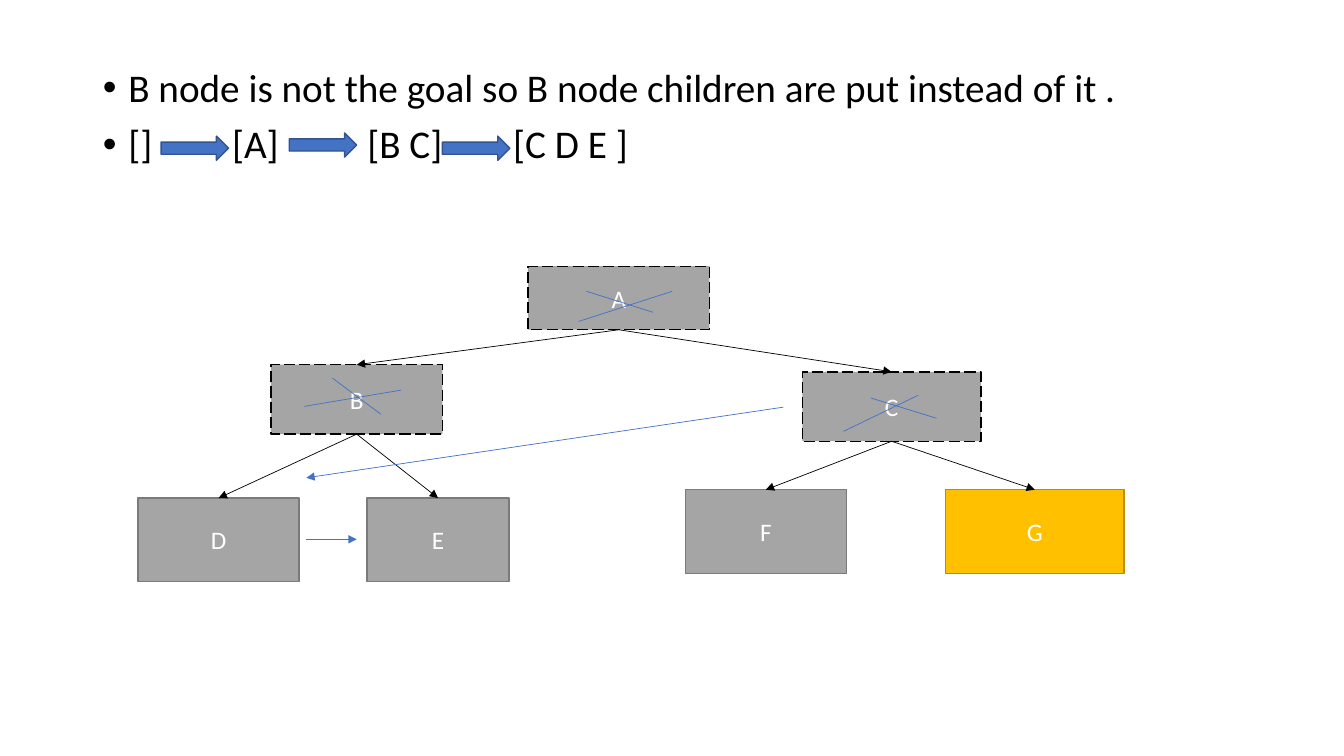
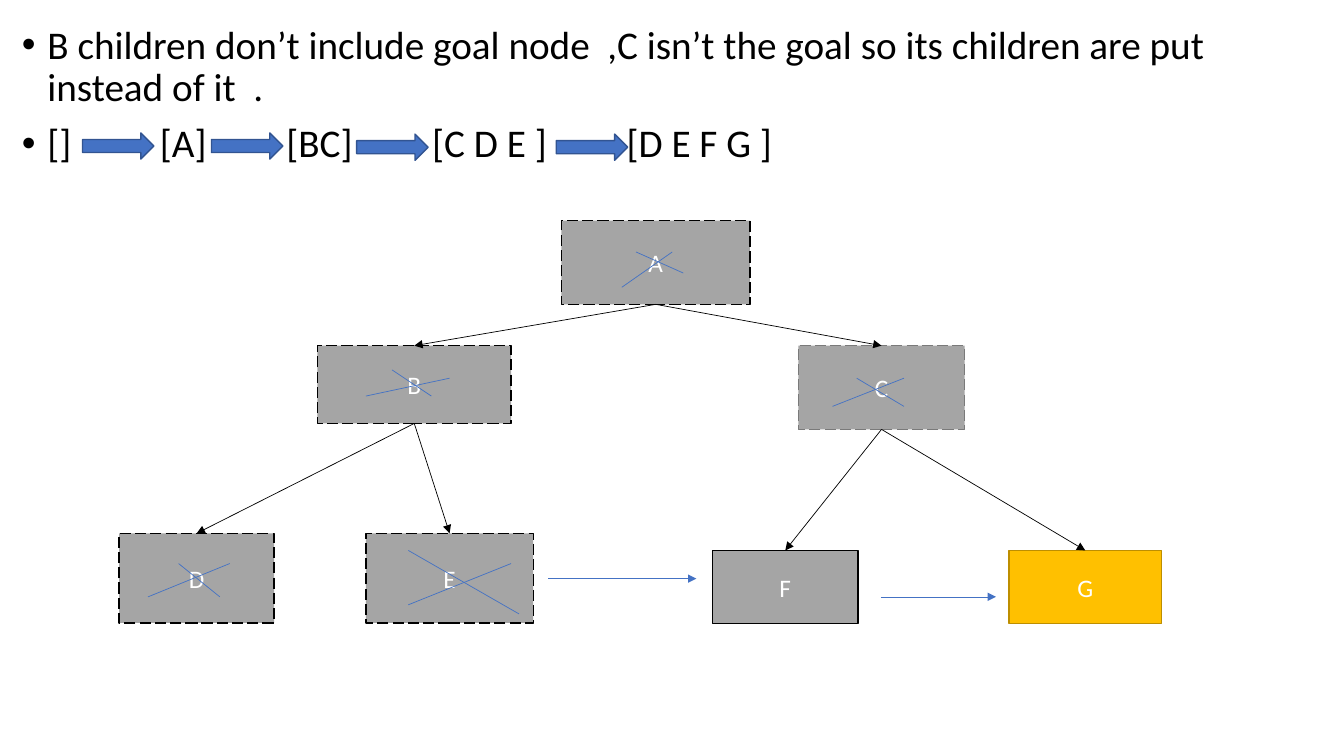
from collections import namedtuple

from lxml import etree
from pptx import Presentation
from pptx.dml.color import RGBColor
from pptx.enum import dml, shapes, text
from pptx.oxml.ns import qn
from pptx.util import Cm, Pt

BLACK = RGBColor(0x00, 0x00, 0x00)
WHITE = RGBColor(0xFF, 0xFF, 0xFF)
GREY = RGBColor(0xA5, 0xA5, 0xA5)
DARK_GREY = RGBColor(0x7A, 0x7A, 0x7A)
GOLD = RGBColor(0xFF, 0xC0, 0x00)
DARK_GOLD = RGBColor(0xBD, 0x8E, 0x00)
BLUE = RGBColor(0x44, 0x72, 0xC4)
DARK_BLUE = RGBColor(0x32, 0x54, 0x91)
FONT = "Calibri"
SPACE_WIDTH = 6.33  # points, one space at 28 pt

Style = namedtuple("Style", "fill edge dashed")
VISITED = Style(GREY, BLACK, True)
VISITED_SOFT = Style(GREY, DARK_GREY, True)
WAITING = Style(GREY, DARK_GREY, False)
CURRENT = Style(GREY, BLACK, False)
GOAL = Style(GOLD, DARK_GOLD, False)

# Node: box (left, top, width, height), style, strokes inside the box
Node = namedtuple("Node", "box style strokes", defaults=[()])
TREE = {"A": "BC", "B": "DE", "C": "FG"}

SLIDES = [
    dict(
        body=(2.34, 1.6, 29.21, 15.54),
        sentence="B node is not the goal so B node children are put instead of it .",
        states=["[]", "[A]", "[B C]", "[C D E ]"],
        gaps=[9, 10, 8],
        arrow_size=(1.7, 0.61),
        arrows=[(4.06, 3.43), (7.29, 3.35), (11.15, 3.43)],
        nodes={
            "A": Node((13.31, 6.71, 4.57, 1.6), VISITED,
                      [(3.63, 0.63, 1.27, 1.39), (1.47, 0.63, 3.15, 1.16)]),
            "B": Node((6.83, 9.19, 4.32, 1.75), VISITED,
                      [(3.28, 0.64, 0.84, 1.05), (1.55, 0.34, 2.77, 1.25)]),
            "C": Node((20.22, 9.37, 4.5, 1.75), VISITED,
                      [(2.92, 0.59, 1.04, 1.5), (1.73, 0.66, 3.38, 1.17)]),
            "D": Node((3.48, 12.55, 4.06, 2.11), WAITING),
            "E": Node((9.25, 12.55, 3.58, 2.11), WAITING),
            "F": Node((17.27, 12.34, 4.06, 2.11), WAITING),
            "G": Node((23.83, 12.34, 4.5, 2.11), GOAL),
        },
        steps=[(19.74, 10.26, 7.72, 12.04), (7.72, 13.59, 8.99, 13.59)],
    ),
    dict(
        body=(0.3, 0.51, 31.24, 16.64),
        sentence="B children don’t include goal node  ,C isn’t the goal "
                 "so its children are put instead of it  .",
        states=["[]", "[A]", "[BC]", "[C D E ]", "[D E F G ]"],
        gaps=[10, 9, 9, 9],
        arrow_size=(1.8, 0.66),
        arrows=[(2.08, 3.35), (5.33, 3.35), (8.99, 3.38), (14.02, 3.38)],
        nodes={
            "A": Node((14.15, 5.56, 4.75, 2.11), VISITED,
                      [(2.79, 0.79, 1.52, 1.68), (1.88, 0.79, 3.07, 1.32)]),
            "B": Node((8, 8.71, 4.88, 1.96), VISITED,
                      [(3.33, 0.82, 1.22, 1.27), (1.88, 0.61, 2.87, 1.27)]),
            "C": Node((20.12, 8.71, 4.19, 2.11), VISITED_SOFT,
                      [(2.66, 0.82, 0.86, 1.53), (1.47, 0.82, 2.66, 1.53)]),
            "D": Node((3, 13.44, 3.91, 2.26), VISITED,
                      [(2.79, 0.76, 0.73, 1.6), (1.5, 0.76, 2.54, 1.6)]),
            "E": Node((9.22, 13.44, 4.22, 2.26), VISITED,
                      [(3.66, 0.76, 1.07, 1.8), (1.07, 0.43, 3.86, 2.03)]),
            "F": Node((17.96, 13.87, 3.66, 1.85), CURRENT),
            "G": Node((25.43, 13.87, 3.84, 1.85), GOAL),
        },
        steps=[(13.82, 14.58, 17.55, 14.58), (22.2, 15.04, 25.1, 15.04)],
    ),
]


def lengths(values):
    """Turn numbers in centimetres into lengths."""
    return [Cm(value) for value in values]


def add_preset(page, kind, box, fill, edge):
    """Add a flat filled shape with a one-point outline."""
    shape = page.shapes.add_shape(kind, *lengths(box))
    shape.shadow.inherit = False
    shape.fill.solid()
    shape.fill.fore_color.rgb = fill
    shape.line.color.rgb = edge
    shape.line.width = Pt(1)
    return shape


def add_line(page, ends, color, arrow=False):
    """Add a thin straight line, with an arrowhead at its end if asked."""
    line = page.shapes.add_connector(shapes.MSO_CONNECTOR.STRAIGHT, *lengths(ends))
    line.line.color.rgb = color
    line.line.width = Pt(0.5)
    properties = line._element.spPr
    if arrow:
        etree.SubElement(properties.find(qn("a:ln")), qn("a:tailEnd"), type="triangle")
    etree.SubElement(properties, qn("a:effectLst"))
    return line


def add_body(page, box, sentence, states, gaps):
    """Fill the body placeholder with the sentence and the row of queue states."""
    body = page.placeholders[1]
    body.left, body.top, body.width, body.height = lengths(box)
    frame = body.text_frame
    frame.auto_size = text.MSO_AUTO_SIZE.NONE
    frame.text = sentence
    row = frame.add_paragraph()
    row.add_run().text = states[0]
    for state, gap in zip(states[1:], gaps):
        span = row.add_run()
        span.text = " "
        # letter spacing widens one space to the width of the gap
        span.font._element.set("spc", str(round((gap - 1) * SPACE_WIDTH * 100)))
        row.add_run().text = state
    for para in frame.paragraphs:
        para.line_spacing = 0.9
        para.space_before = Pt(10)
        para.font.name = FONT
        para.font.size = Pt(28)
        para.font.color.rgb = BLACK
        indent = Cm(0.64)
        properties = para._p.get_or_add_pPr()
        properties.set("marL", str(indent))
        properties.set("indent", str(-indent))


def add_node(page, name, node):
    """Add one labelled tree node."""
    shape = add_preset(page, shapes.MSO_SHAPE.RECTANGLE, node.box,
                       node.style.fill, node.style.edge)
    if node.style.dashed:
        shape.line.dash_style = dml.MSO_LINE.LONG_DASH
    frame = shape.text_frame
    frame.vertical_anchor = text.MSO_ANCHOR.MIDDLE
    para = frame.paragraphs[0]
    para.text = name
    para.alignment = text.PP_ALIGN.CENTER
    para.font.name = FONT
    para.font.size = Pt(18)
    para.font.color.rgb = WHITE
    return shape


def add_tree(page, nodes):
    """Add the nodes, the edges between them and the strokes that cross them out."""
    boxes = {name: add_node(page, name, node) for name, node in nodes.items()}
    for parent, children in TREE.items():
        for child in children:
            edge = add_line(page, (0, 0, 1, 1), BLACK, arrow=True)
            edge.begin_connect(boxes[parent], 2)
            edge.end_connect(boxes[child], 0)
    for node in nodes.values():
        left, top = node.box[:2]
        for x1, y1, x2, y2 in node.strokes:
            add_line(page, (left + x1, top + y1, left + x2, top + y2), BLUE)


def add_search_slide(deck, content):
    """Add one slide of the breadth-first search."""
    page = deck.slides.add_slide(deck.slide_layouts[1])
    title = page.shapes.title._element
    title.getparent().remove(title)
    add_body(page, content["body"], content["sentence"],
             content["states"], content["gaps"])
    add_tree(page, content["nodes"])
    for step in content["steps"]:
        add_line(page, step, BLUE, arrow=True)
    for corner in content["arrows"]:
        add_preset(page, shapes.MSO_SHAPE.RIGHT_ARROW,
                   corner + content["arrow_size"], BLUE, DARK_BLUE)


deck = Presentation()
deck.slide_width, deck.slide_height = Cm(33.87), Cm(19.05)
for content in SLIDES:
    add_search_slide(deck, content)
deck.save("out.pptx")
